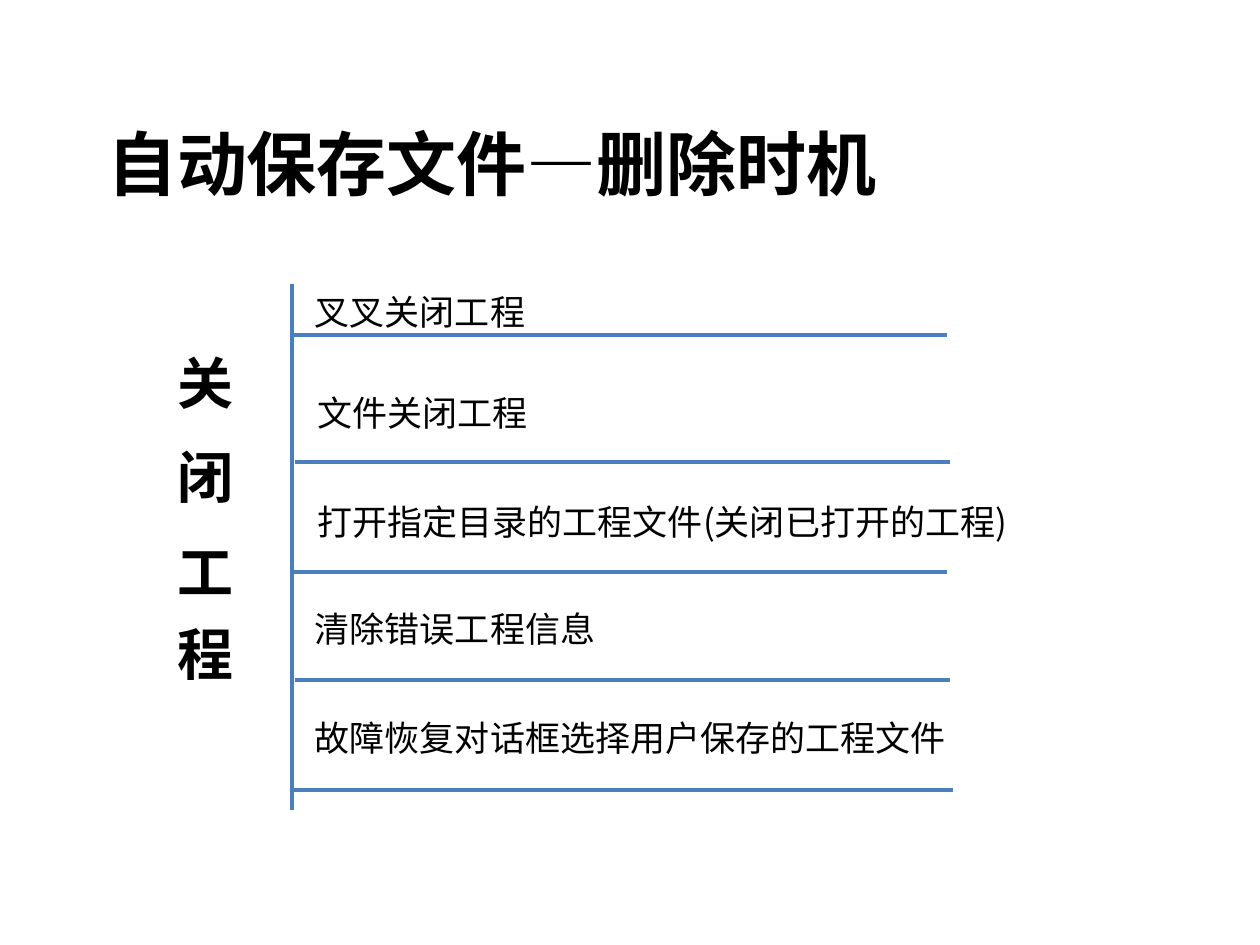
from pptx import Presentation
from pptx import util as u
from pptx.dml.color import RGBColor
from pptx.enum import shapes, text
from pptx.oxml.ns import qn
from lxml import etree

THEME = {
    "title": {"name": "Calibri", "size": u.Pt(40), "bold": True},
    "label": {"name": "Calibri", "size": u.Pt(32), "bold": True},
    "item": {"name": "Noto Sans CJK SC", "size": u.Pt(20), "bold": False},
    "ink": RGBColor(0, 0, 0),
    "rule": RGBColor(0x4B, 0x7E, 0xBC),
    "rule_width": u.Pt(2.25),
}


def add_text(shape, runs, style):
    """Fill a shape with left-aligned (words, character spacing) runs."""
    frame = shape.text_frame
    frame.word_wrap = True
    frame.auto_size = text.MSO_AUTO_SIZE.NONE
    frame.vertical_anchor = text.MSO_ANCHOR.TOP
    paragraph = frame.paragraphs[0]
    paragraph.alignment = text.PP_ALIGN.LEFT
    for words, spacing in runs:
        run = paragraph.add_run()
        run.text = words
        for key, value in THEME[style].items():
            setattr(run.font, key, value)
        run.font.color.rgb = THEME["ink"]
        if spacing:
            run.font._element.set("spc", str(spacing * 100))
        if style == "item":
            east_asian = etree.SubElement(run.font._element, qn("a:ea"))
            east_asian.set("typeface", THEME[style]["name"])


def add_rule(left, top, right, bottom):
    line = slide.shapes.add_connector(
        shapes.MSO_CONNECTOR.STRAIGHT, *map(u.Inches, (left, top, right, bottom)))
    line.line.color.rgb = THEME["rule"]
    line.line.width = THEME["rule_width"]
    etree.SubElement(line._element.spPr, qn("a:effectLst"))


presentation = Presentation()
presentation.slide_width = u.Inches(10)
presentation.slide_height = u.Inches(7.5)
slide = presentation.slides.add_slide(presentation.slide_layouts[5])

# Title
title = slide.shapes.title
title.left, title.top, title.width, title.height = map(u.Inches, (0.75, 0.91, 8.43, 0.77))
add_text(title, [("自动保存文件—删除时机", 0)], "title")

# Vertical label, spread by character spacing
label = slide.shapes.add_textbox(*map(u.Inches, (1.19, 2.72, 0.74, 3.24)))
label.text_frame._txBody.bodyPr.set("vert", "eaVert")
add_text(label, [("关闭", 22), ("工", 15), ("程", 0)], "label")

# Items, each with a rule below: words, left, top, width, rule left, rule top, rule right
items = [
    ("叉叉关闭工程", 2.4, 2.26, 5.28, 2.32, 2.66, 7.52),
    ("文件关闭工程", 2.42, 3.06, 4.09, 2.34, 3.67, 7.54),
    ("打开指定目录的工程文件(关闭已打开的工程)", 2.42, 3.92, 5.88, 2.32, 4.54, 7.52),
    ("清除错误工程信息", 2.4, 4.77, 4.57, 2.34, 5.4, 7.54),
    ("故障恢复对话框选择用户保存的工程文件", 2.4, 5.64, 5.51, 2.32, 6.27, 7.56),
]
for words, left, top, width, rule_left, rule_top, rule_right in items:
    box = slide.shapes.add_textbox(*map(u.Inches, (left, top, width, 0.44)))
    add_text(box, [(words, 0)], "item")
    add_rule(rule_left, rule_top, rule_right, rule_top)

# Vertical trunk
add_rule(2.32, 2.25, 2.32, 6.43)

presentation.save("out.pptx")
